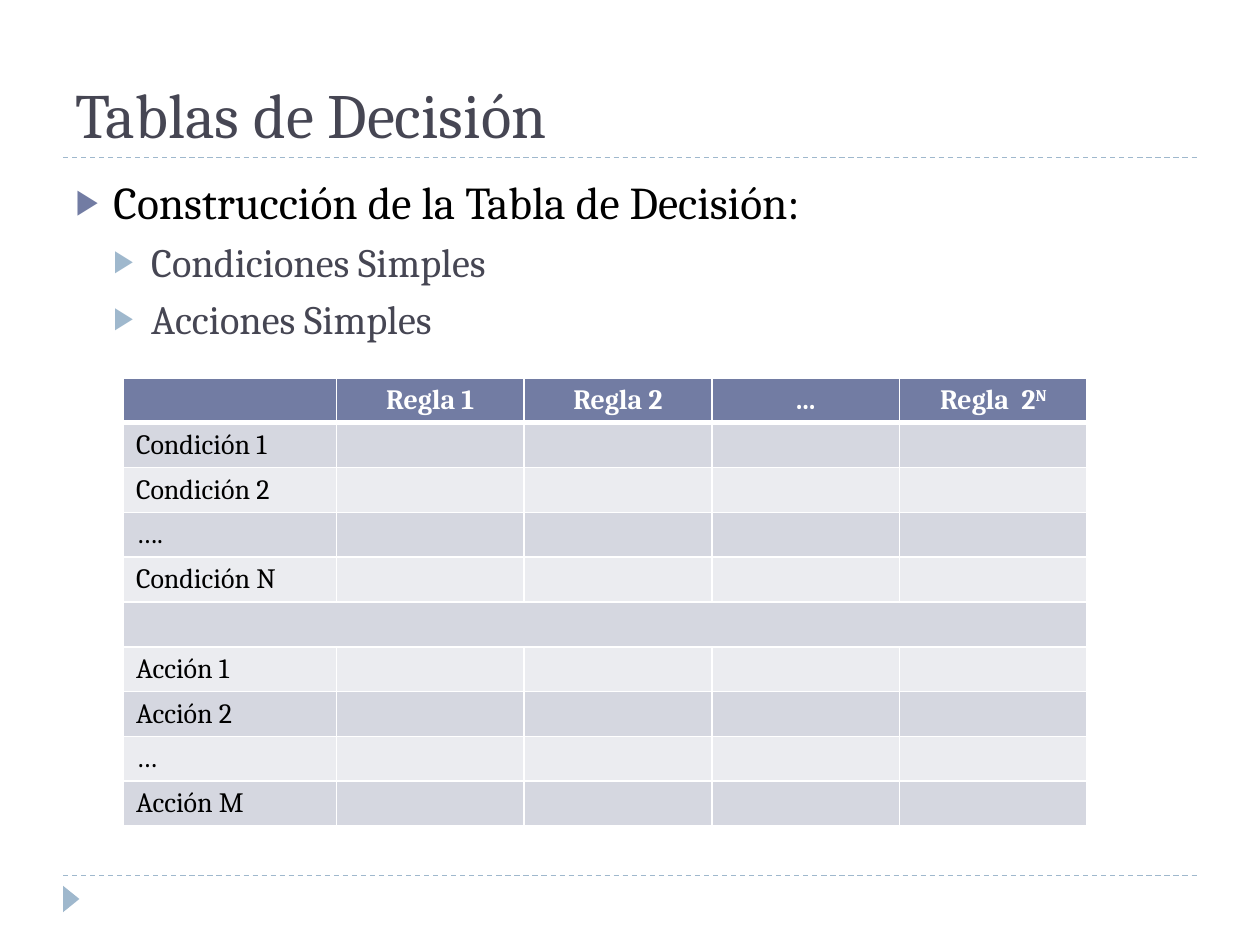
from pptx import Presentation
from pptx.dml.color import RGBColor
from pptx.enum.dml import MSO_LINE
from pptx.enum.shapes import MSO_CONNECTOR, MSO_SHAPE
from pptx.enum.text import MSO_ANCHOR, MSO_AUTO_SIZE, PP_ALIGN
from pptx.oxml.ns import qn
from pptx.util import Inches, Pt
from lxml.etree import SubElement

FONT = "Cambria"
COLORS = {
    "accent": "727CA3", "sky": "9FB8CD", "ink": "464653", "black": "000000",
    "white": "FFFFFF", "band_dark": "D5D7E0", "band_light": "EBECF0",
}
HEADERS = ["", "Regla 1", "Regla 2", "…", "Regla  2"]
ROW_LABELS = ["Condición 1", "Condición 2", "….", "Condición N", "",
              "Acción 1", "Acción 2", "…", "Acción M"]
SEPARATOR_ROW = 5


def rgb(name):
    """Return a named colour."""
    return RGBColor.from_string(COLORS[name])


def place(shape, left, top, width, height):
    """Move and size a shape in inches."""
    shape.left, shape.top = Inches(left), Inches(top)
    shape.width, shape.height = Inches(width), Inches(height)


def add_run(paragraph, text, size, color, bold=False):
    """Add a formatted run to a paragraph."""
    run = paragraph.add_run()
    run.text = text
    run.font.name, run.font.size, run.font.bold = FONT, Pt(size), bold
    run.font.color.rgb = rgb(color)
    return run


def add_rule(slide, y):
    """Draw a dashed rule across the slide."""
    rule = slide.shapes.add_connector(
        MSO_CONNECTOR.STRAIGHT, Inches(0.5), Inches(y), Inches(9.5), Inches(y))
    rule.line.color.rgb = rgb("sky")
    rule.line.width = Pt(0.75)
    rule.line.dash_style = MSO_LINE.DASH
    SubElement(rule._element.spPr, qn("a:effectLst"))


def add_page_marker(slide):
    """Draw the small triangle in the footer."""
    marker = slide.shapes.add_shape(
        MSO_SHAPE.ISOSCELES_TRIANGLE, Inches(0.46), Inches(7.07), Inches(0.21), Inches(0.13))
    marker.rotation = 90
    marker.shadow.inherit = False
    marker.fill.solid()
    marker.fill.fore_color.rgb = rgb("sky")
    marker.line.fill.background()


def fill_title(title, text):
    """Format the title placeholder."""
    place(title, 0.5, 0.17, 9, 1.08)
    frame = title.text_frame
    frame.auto_size = MSO_AUTO_SIZE.NONE
    frame.vertical_anchor = MSO_ANCHOR.BOTTOM
    frame.paragraphs[0].alignment = PP_ALIGN.LEFT
    add_run(frame.paragraphs[0], text, 36, "ink")


def add_bullet(paragraph, text, level):
    """Write a list entry with a triangular bullet."""
    size, color, bullet_color, before = [
        (26, "black", "accent", 6), (23, "ink", "sky", 5)][level]
    paragraph.level = level
    paragraph.space_before = Pt(before)
    properties = paragraph._p.get_or_add_pPr()
    properties.set("marL", str(Inches(0.3 * (level + 1))))
    properties.set("indent", str(Inches(-0.3)))
    tint = SubElement(properties, qn("a:buClr"))
    SubElement(tint, qn("a:srgbClr"), val=COLORS[bullet_color])
    SubElement(properties, qn("a:buSzPct"), val="76000")
    SubElement(properties, qn("a:buChar"), char="▶")
    add_run(paragraph, text, size, color)


def fill_list(body, entries):
    """Fill the body placeholder with the outline."""
    place(body, 0.5, 1.33, 9, 5.4)
    frame = body.text_frame
    frame.auto_size = MSO_AUTO_SIZE.NONE
    for index, (text, level) in enumerate(entries):
        paragraph = frame.add_paragraph() if index else frame.paragraphs[0]
        add_bullet(paragraph, text, level)


def style_cell(cell, fill, top=1, bottom=1):
    """Give a cell its white borders and its fill."""
    properties = cell._tc.get_or_add_tcPr()
    for side, width in (("L", 1), ("R", 1), ("T", top), ("B", bottom)):
        border = SubElement(properties, qn(f"a:ln{side}"), w=str(Pt(width)))
        SubElement(SubElement(border, qn("a:solidFill")),
                   qn("a:srgbClr"), val=COLORS["white"])
    cell.fill.solid()
    cell.fill.fore_color.rgb = rgb(fill)


def write_cell(cell, text, color, bold=False):
    """Write a cell, keeping the text size when it is empty."""
    paragraph = cell.text_frame.paragraphs[0]
    if text:
        add_run(paragraph, text, 16, color, bold)
    else:
        end = SubElement(paragraph._p, qn("a:endParaRPr"), sz="1600")
        SubElement(end, qn("a:latin"), typeface=FONT)
    return paragraph


def add_decision_table(slide):
    """Build the decision table with its rules, conditions and actions."""
    row_count, column_count = len(ROW_LABELS) + 1, len(HEADERS)
    table = slide.shapes.add_table(
        row_count, column_count, Inches(0.98), Inches(3),
        Inches(7.65), Inches(0.35 * row_count)).table
    for index, column in enumerate(table.columns):
        column.width = Inches(1.49 if index else 1.69)
    for index, header in enumerate(HEADERS):
        cell = table.cell(0, index)
        style_cell(cell, "accent", bottom=3)
        write_cell(cell, header, "white", True).alignment = PP_ALIGN.CENTER
    exponent = add_run(cell.text_frame.paragraphs[0], "N", 16, "white", True)
    exponent.font._element.set("baseline", "30000")
    for row, label in enumerate(ROW_LABELS, start=1):
        for index in range(column_count):
            cell = table.cell(row, index)
            style_cell(cell, "band_dark" if row % 2 else "band_light",
                       top=3 if row == 1 else 1)
            write_cell(cell, "" if index else label, "black")
    table.cell(SEPARATOR_ROW, 0).merge(table.cell(SEPARATOR_ROW, column_count - 1))


def main():
    """Build and save the slide."""
    presentation = Presentation()
    presentation.slide_width, presentation.slide_height = Inches(10), Inches(7.5)
    slide = presentation.slides.add_slide(presentation.slide_layouts[1])
    fill_title(slide.shapes.title, "Tablas de Decisión")
    fill_list(slide.placeholders[1], [
        ("Construcción de la Tabla de Decisión:", 0),
        ("Condiciones Simples", 1),
        ("Acciones Simples", 1),
    ])
    for y in (6.95, 1.25):
        add_rule(slide, y)
    add_page_marker(slide)
    add_decision_table(slide)
    presentation.save("out.pptx")


main()
